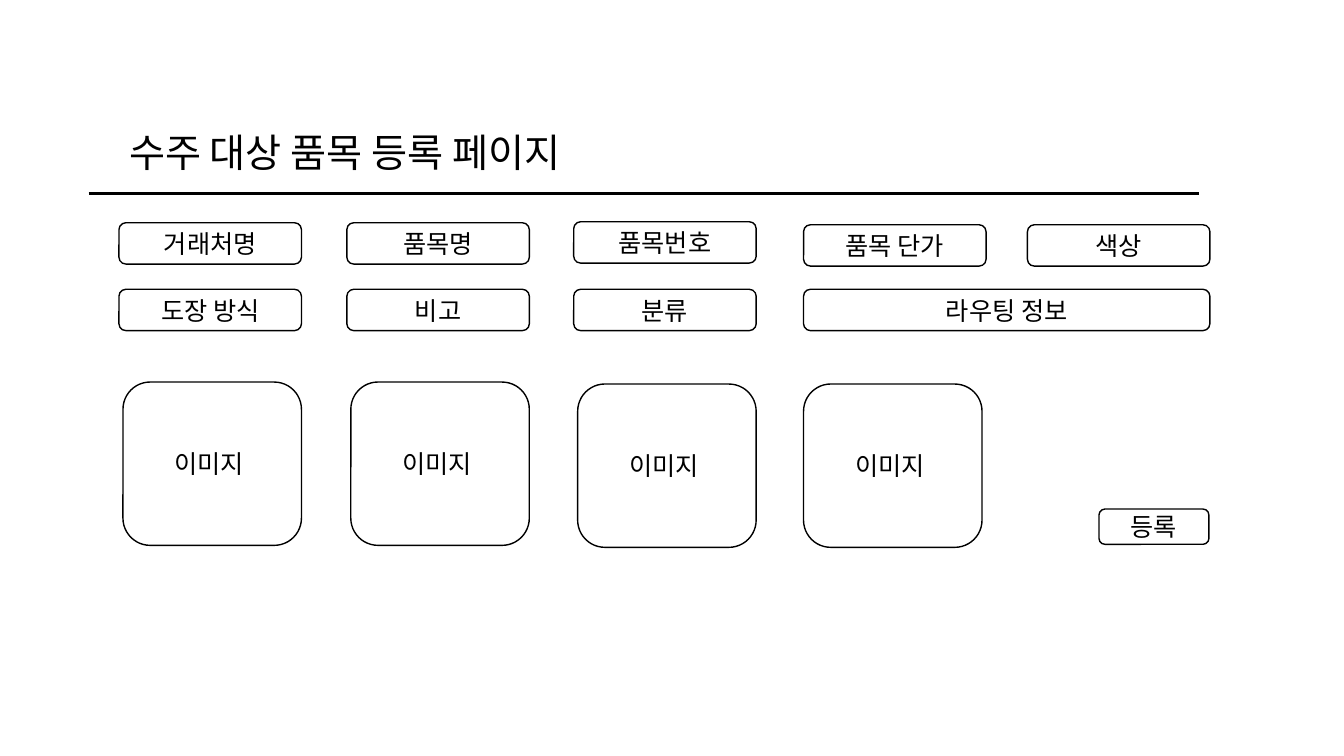
from dataclasses import dataclass

from lxml.etree import SubElement
from pptx import Presentation
from pptx.dml.color import RGBColor
from pptx.enum.shapes import MSO_CONNECTOR, MSO_SHAPE
from pptx.enum.text import MSO_ANCHOR, MSO_AUTO_SIZE, PP_ALIGN
from pptx.oxml.ns import qn
from pptx.slide import Slide
from pptx.text.text import _Paragraph
from pptx.util import Inches, Pt

BLACK = RGBColor(0x00, 0x00, 0x00)
WHITE = RGBColor(0xFF, 0xFF, 0xFF)
FONT = "Noto Sans CJK KR"

COLUMNS = (1.18, 3.44, 5.69, 7.97, 10.19)
FIELD_ROWS = (2.21, 2.87)
FIELD_WIDTH, FIELD_HEIGHT = 1.81, 0.41
IMAGE_TOP, IMAGE_WIDTH, IMAGE_HEIGHT = 3.79, 1.77, 1.62
IMAGE_INDENT = FIELD_WIDTH - IMAGE_WIDTH


@dataclass(frozen=True)
class Field:
    """An input field on the grid, with its column span and vertical shift."""

    label: str
    column: int
    row: int
    span: int = 1
    shift: float = 0


@dataclass(frozen=True)
class ImageSlot:
    """An image area under a grid column."""

    column: int
    indent: float = IMAGE_INDENT
    shift: float = 0


FIELDS = (
    Field("거래처명", 0, 0),
    Field("품목명", 1, 0),
    Field("품목번호", 2, 0, shift=-0.01),
    Field("품목 단가", 3, 0, shift=0.02),
    Field("색상", 4, 0, shift=0.02),
    Field("도장 방식", 0, 1),
    Field("비고", 1, 1),
    Field("분류", 2, 1),
    Field("라우팅 정보", 3, 1, span=2),
)
IMAGE_SLOTS = (
    ImageSlot(0),
    ImageSlot(1),
    ImageSlot(2, shift=0.02),
    ImageSlot(3, indent=0, shift=0.02),
)


def format_paragraph(paragraph: _Paragraph, size: float, alignment: PP_ALIGN) -> None:
    """Set the alignment and the Latin and Korean font of a paragraph."""
    paragraph.alignment = alignment
    font = paragraph.font
    font.size, font.name = Pt(size), FONT
    font.color.rgb = BLACK
    defaults = paragraph._p.pPr.find(qn("a:defRPr"))
    SubElement(defaults, qn("a:ea")).set("typeface", FONT)


def add_box(slide: Slide, label: str, left: float, top: float, width: float, height: float) -> None:
    """Draw a labelled, outlined box with rounded corners."""
    box = slide.shapes.add_shape(
        MSO_SHAPE.ROUNDED_RECTANGLE, Inches(left), Inches(top), Inches(width), Inches(height)
    )
    box.shadow.inherit = False
    box.fill.solid()
    box.fill.fore_color.rgb = WHITE
    box.line.color.rgb = BLACK
    box.line.width = Pt(1)
    box.text_frame.text = label
    box.text_frame.vertical_anchor = MSO_ANCHOR.MIDDLE
    format_paragraph(box.text_frame.paragraphs[0], 18, PP_ALIGN.CENTER)


def add_field(slide: Slide, field: Field) -> None:
    """Place an input field on the grid."""
    left = COLUMNS[field.column]
    width = COLUMNS[field.column + field.span - 1] + FIELD_WIDTH - left
    add_box(slide, field.label, left, FIELD_ROWS[field.row] + field.shift, width, FIELD_HEIGHT)


def add_image_slot(slide: Slide, slot: ImageSlot) -> None:
    """Place an image area under its column."""
    left = COLUMNS[slot.column] + slot.indent
    add_box(slide, "이미지 ", left, IMAGE_TOP + slot.shift, IMAGE_WIDTH, IMAGE_HEIGHT)


def add_heading(slide: Slide) -> None:
    """Fill the title and draw the rule under it."""
    title = slide.shapes.title
    title.left, title.top = Inches(COLUMNS[0]), Inches(1.22)
    title.width, title.height = Inches(7.6), Inches(0.57)
    frame = title.text_frame
    frame.text = "수주 대상 품목 등록 페이지"
    frame.word_wrap = True
    frame.auto_size = MSO_AUTO_SIZE.SHAPE_TO_FIT_TEXT
    frame.vertical_anchor = MSO_ANCHOR.TOP
    format_paragraph(frame.paragraphs[0], 28, PP_ALIGN.LEFT)

    rule = slide.shapes.add_connector(
        MSO_CONNECTOR.STRAIGHT, Inches(0.88), Inches(1.92), Inches(11.89), Inches(1.92)
    )
    rule.line.color.rgb = BLACK
    rule.line.width = Pt(1.5)
    SubElement(rule._element.spPr, qn("a:effectLst"))


def main() -> None:
    """Build the item registration page and save it."""
    presentation = Presentation()
    presentation.slide_width, presentation.slide_height = Inches(13.33), Inches(7.5)
    slide = presentation.slides.add_slide(presentation.slide_layouts[5])
    add_heading(slide)
    for field in FIELDS:
        add_field(slide, field)
    for slot in IMAGE_SLOTS:
        add_image_slot(slide, slot)
    add_box(slide, "등록", 10.9, 5.05, 1.09, 0.35)
    presentation.save("out.pptx")


if __name__ == "__main__":
    main()
